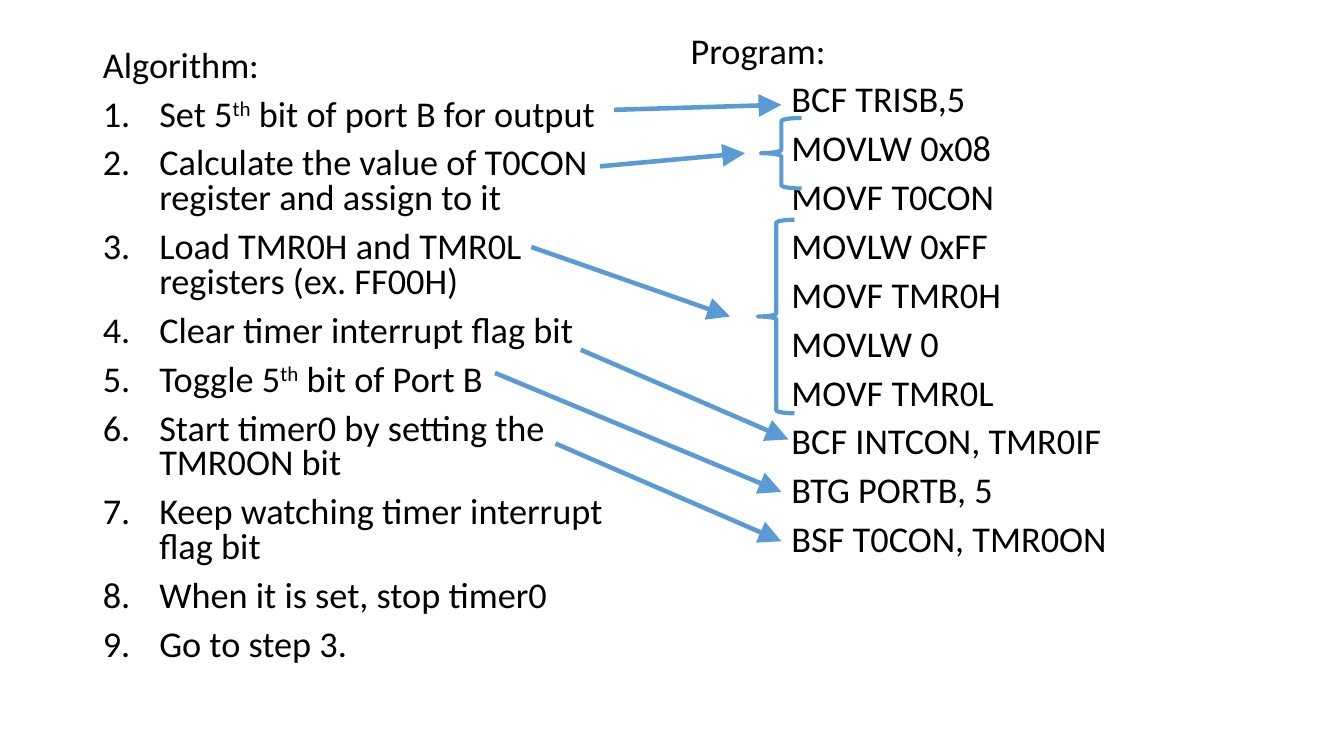
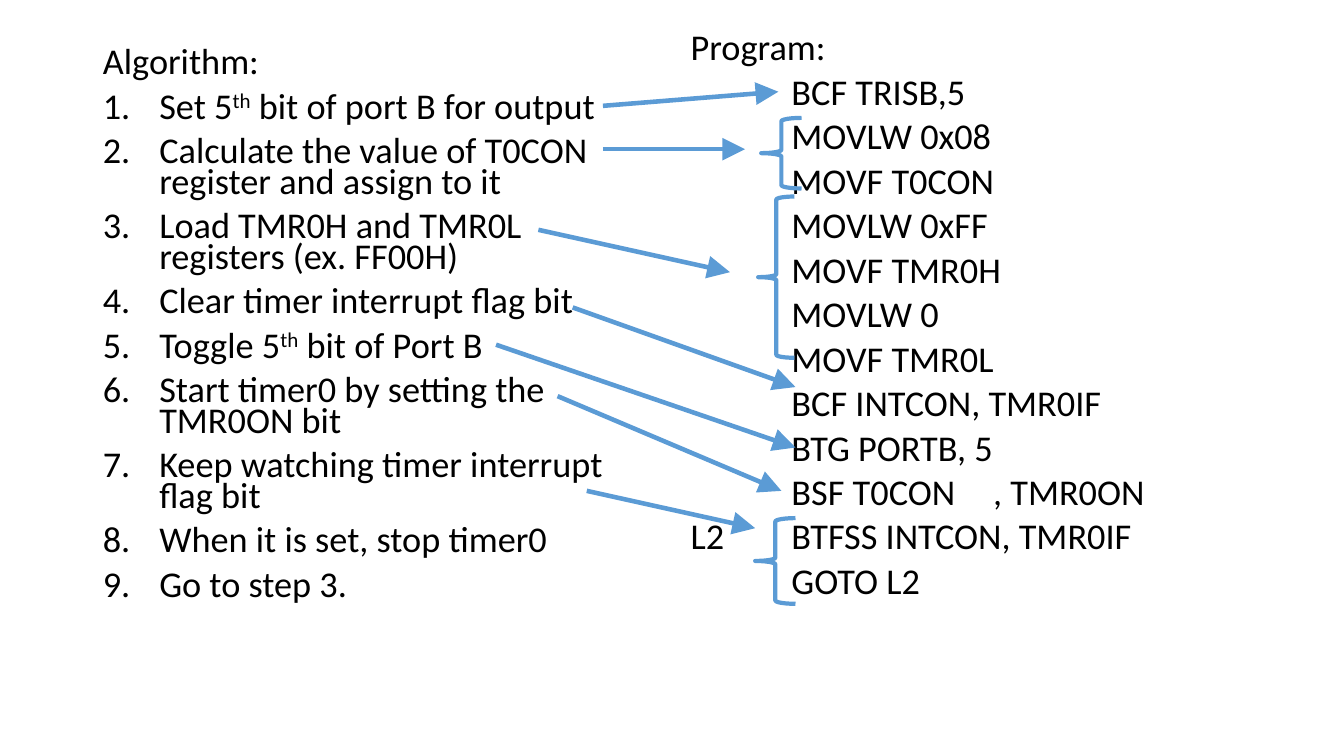
from lxml.etree import SubElement
from pptx import Presentation
from pptx.dml.color import RGBColor
from pptx.enum.shapes import MSO_CONNECTOR, MSO_SHAPE
from pptx.enum.text import MSO_ANCHOR, MSO_AUTO_SIZE
from pptx.oxml.ns import qn
from pptx.util import Inches, Pt

# Shared style
COLORS = {"text": "000000", "accent": "5B9BD5"}
FONT, FONT_SIZE = "Calibri", Pt(25.9)
ARROW_WIDTH, BRACE_WIDTH = Pt(3.25), Pt(3)
NUMBER_INDENT = Inches(0.56)
CODE_INDENT = Inches(1)
ALGORITHM_BOX = (0.92, 0.45, 5.67, 6.3)
PROGRAM_BOX = (6.75, 0.31, 5.67, 6.45)

# Content: "^" surrounds superscript text
STEPS = [
    "Set 5^th^ bit of port B for output",
    "Calculate the value of T0CON register and assign to it",
    "Load TMR0H and TMR0L registers (ex. FF00H)",
    "Clear timer interrupt flag bit",
    "Toggle 5^th^ bit of Port B",
    "Start timer0 by setting the TMR0ON bit",
    "Keep watching timer interrupt flag bit",
    "When it is set, stop timer0",
    "Go to step 3.",
]

# Code lines are (label, instruction)
SETUP_CODE = [
    ("", "BCF TRISB,5"),
    ("", "MOVLW 0x08"),
    ("", "MOVF T0CON"),
    ("", "MOVLW 0xFF"),
    ("", "MOVF TMR0H"),
    ("", "MOVLW 0"),
    ("", "MOVF TMR0L"),
    ("", "BCF INTCON, TMR0IF"),
    ("", "BTG PORTB, 5"),
]
T0CON_BRACE = (7.55, 1.17, 0.4, 0.7)

# Arrows are (x1, y1, x2, y2); braces are (left, top, width, height)
SLIDES = [
    {
        "line_spacing": 0.8,
        "code": SETUP_CODE + [("", "BSF T0CON, TMR0ON")],
        "arrows": [
            (6.09, 1.09, 7.75, 1.04),
            (5.95, 1.65, 7.39, 1.52),
            (5.27, 2.45, 7.24, 3.14),
            (5.76, 3.47, 7.82, 4.36),
            (4.91, 3.7, 7.75, 4.88),
            (5.51, 4.4, 7.75, 5.37),
        ],
        "braces": [(7.52, 2.18, 0.36, 1.92), T0CON_BRACE],
    },
    {
        "line_spacing": 0.7,
        "code": SETUP_CODE + [
            ("", "BSF T0CON\t, TMR0ON"),
            ("L2", "BTFSS INTCON, TMR0IF"),
            ("", "GOTO L2"),
        ],
        "arrows": [
            (5.98, 1.05, 7.72, 0.91),
            (5.98, 1.48, 7.39, 1.48),
            (5.34, 2.28, 7.24, 2.7),
            (5.68, 3.05, 7.89, 3.84),
            (4.92, 3.42, 7.89, 4.44),
            (5.53, 3.93, 7.75, 4.87),
            (5.82, 4.87, 7.49, 5.24),
        ],
        "braces": [(7.49, 5.14, 0.4, 0.85), (7.52, 1.95, 0.36, 1.6), T0CON_BRACE],
    },
]


def inches(values):
    return [Inches(value) for value in values]


def set_default_tabs(presentation):
    # Labels and instructions share one tab distance
    for level in presentation.slide_master._element.iter():
        if level.get("defTabSz"):
            level.set("defTabSz", str(CODE_INDENT))


def format_paragraph(paragraph, line_spacing, margin=0, numbered=False):
    paragraph.line_spacing = line_spacing
    paragraph.space_before = Pt(10)
    properties = paragraph._p.get_or_add_pPr()
    properties.set("marL", str(margin))
    properties.set("indent", str(-margin if numbered else 0))
    properties.set("defTabSz", str(CODE_INDENT))
    if numbered:
        SubElement(properties, qn("a:buFont"), typeface=FONT)
        SubElement(properties, qn("a:buAutoNum"), type="arabicPeriod")
    else:
        SubElement(properties, qn("a:buNone"))


def add_runs(paragraph, text):
    for index, part in enumerate(text.split("^")):
        run = paragraph.add_run()
        run.text = part
        run.font.name, run.font.size = FONT, FONT_SIZE
        run.font.color.rgb = RGBColor.from_string(COLORS["text"])
        if index % 2:
            run._r.get_or_add_rPr().set("baseline", "30000")


def start_column(placeholder, box, heading, line_spacing):
    placeholder.left, placeholder.top, placeholder.width, placeholder.height = inches(box)
    frame = placeholder.text_frame
    frame.word_wrap = True
    frame.auto_size = MSO_AUTO_SIZE.NONE
    frame.vertical_anchor = MSO_ANCHOR.TOP
    format_paragraph(frame.paragraphs[0], line_spacing)
    add_runs(frame.paragraphs[0], heading)
    return frame


def add_algorithm(placeholder, line_spacing):
    frame = start_column(placeholder, ALGORITHM_BOX, "Algorithm:", line_spacing)
    for step in STEPS:
        paragraph = frame.add_paragraph()
        format_paragraph(paragraph, line_spacing, NUMBER_INDENT, numbered=True)
        add_runs(paragraph, step)


def add_program(placeholder, code, line_spacing):
    frame = start_column(placeholder, PROGRAM_BOX, "Program:", line_spacing)
    for label, instruction in code:
        paragraph = frame.add_paragraph()
        format_paragraph(paragraph, line_spacing, 0 if label else CODE_INDENT)
        add_runs(paragraph, f"{label}\t{instruction}" if label else instruction)


def style_line(line, width):
    line.color.rgb = RGBColor.from_string(COLORS["accent"])
    line.width = width


def add_arrow(slide, ends):
    arrow = slide.shapes.add_connector(MSO_CONNECTOR.STRAIGHT, *inches(ends))
    style_line(arrow.line, ARROW_WIDTH)
    properties = arrow._element.spPr
    outline = properties.find(qn("a:ln"))
    SubElement(outline, qn("a:tailEnd"), type="triangle", w="lg", len="lg")
    SubElement(properties, qn("a:effectLst"))


def add_brace(slide, box):
    brace = slide.shapes.add_shape(MSO_SHAPE.LEFT_BRACE, *inches(box))
    brace.fill.background()
    brace.shadow.inherit = False
    style_line(brace.line, BRACE_WIDTH)


def build_slide(presentation, content):
    # Two Content layout, without its title
    slide = presentation.slides.add_slide(presentation.slide_layouts[3])
    title = slide.shapes.title._element
    title.getparent().remove(title)
    algorithm, program = slide.placeholders
    add_algorithm(algorithm, content["line_spacing"])
    add_program(program, content["code"], content["line_spacing"])
    for ends in content["arrows"]:
        add_arrow(slide, ends)
    for box in content["braces"]:
        add_brace(slide, box)


def main():
    presentation = Presentation()
    presentation.slide_width, presentation.slide_height = inches((13.33, 7.5))
    set_default_tabs(presentation)
    for content in SLIDES:
        build_slide(presentation, content)
    presentation.save("out.pptx")


if __name__ == "__main__":
    main()
